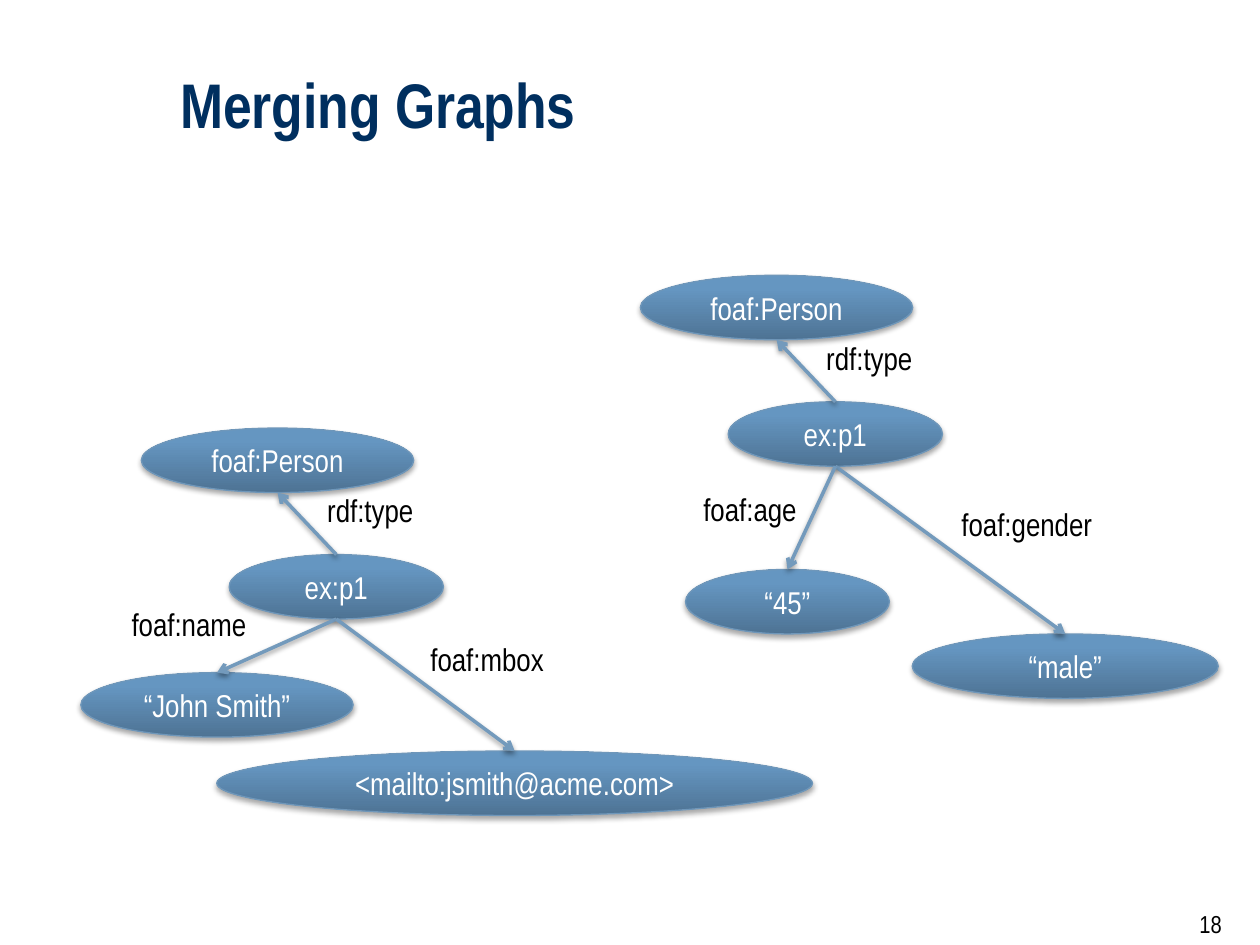
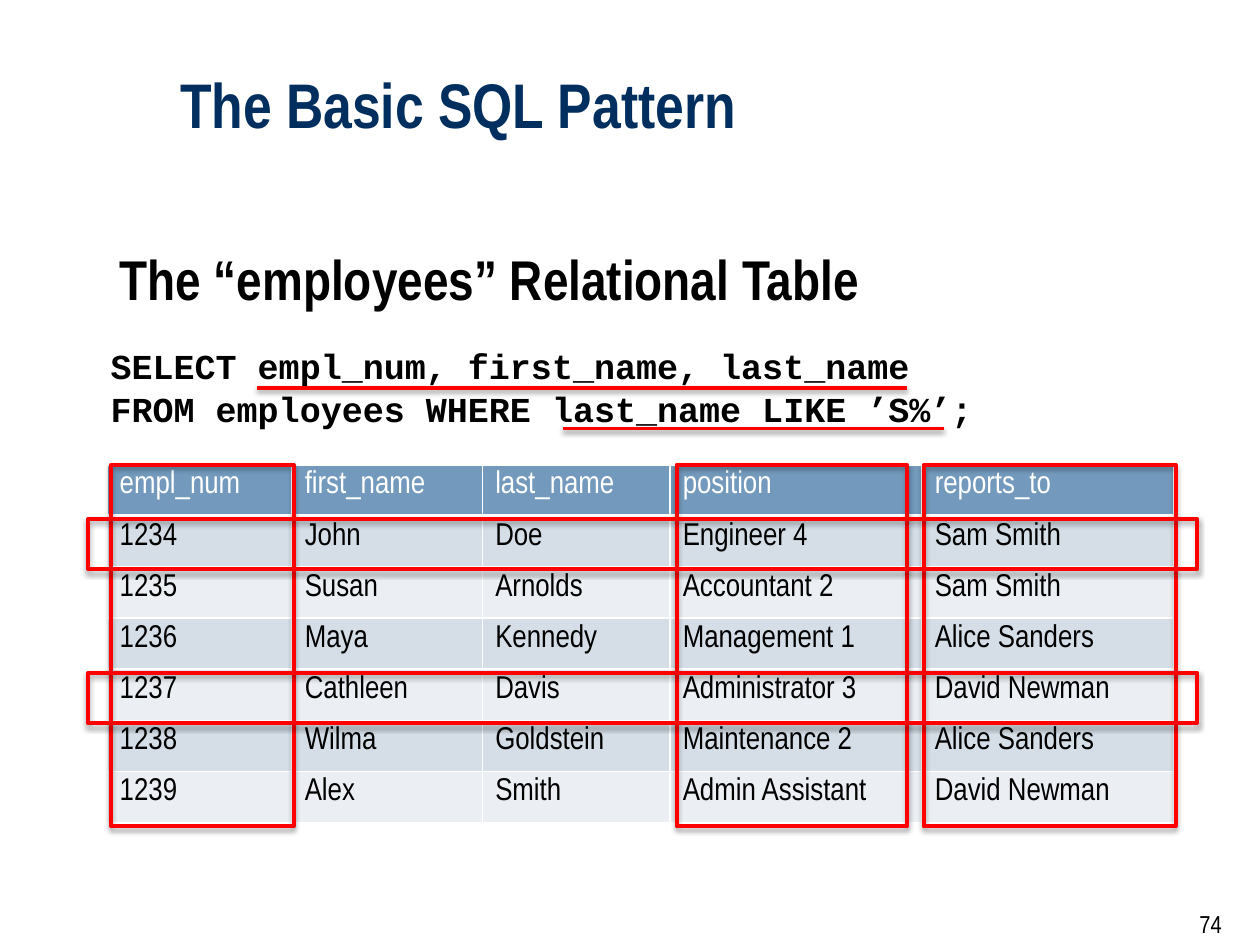
"""Build two slides: merging RDF graphs and the basic SQL pattern."""
from copy import deepcopy

from lxml import etree
from pptx import Presentation
from pptx.dml.color import RGBColor
from pptx.enum.shapes import MSO_CONNECTOR, MSO_SHAPE
from pptx.enum.text import MSO_ANCHOR, PP_ALIGN
from pptx.oxml import parse_xml
from pptx.oxml.ns import qn
from pptx.util import Cm, Pt

ELLIPSE, RECTANGLE = MSO_SHAPE.OVAL, MSO_SHAPE.RECTANGLE
STRAIGHT = MSO_CONNECTOR.STRAIGHT
CENTER, BOTTOM = PP_ALIGN.CENTER, MSO_ANCHOR.BOTTOM
TOP_SITE = 0

NAVY = RGBColor(0x00, 0x2F, 0x5F)
BLACK = RGBColor(0x00, 0x00, 0x00)
WHITE = RGBColor(0xFF, 0xFF, 0xFF)
RED = RGBColor(0xFF, 0x00, 0x00)
STEEL = RGBColor(0x73, 0x9A, 0xBC)
NODE_EDGE = RGBColor(0x6F, 0x97, 0xBA)
NODE_STOPS = [
    (0, RGBColor(0x4E, 0x73, 0x94)),
    (0.8, RGBColor(0x65, 0x96, 0xC1)),
    (1, RGBColor(0x64, 0x97, 0xC3)),
]
BAND_FILLS = [RGBColor(0xEB, 0xEF, 0xF3), RGBColor(0xD5, 0xDE, 0xE7)]

BODY = {"name": "Arial Narrow", "size": Pt(18), "bold": False}
LABEL_FORMAT = {**BODY, "color": BLACK}
NODE_FORMAT = {**BODY, "color": WHITE}
NUMBER_FORMAT = {**LABEL_FORMAT, "size": Pt(14)}
TITLE_FORMAT = {**BODY, "size": Pt(36), "bold": True, "color": NAVY}
SUBTITLE_FORMAT = {**LABEL_FORMAT, "size": Pt(32), "bold": True}
CODE_FORMAT = {"name": "Courier New", "size": Pt(20), "bold": True, "color": BLACK}

DRAWING = 'xmlns:a="http://schemas.openxmlformats.org/drawingml/2006/main"'
NODE_HEIGHT = 1.3
LABEL_HEIGHT = 1.02

LEFT_LEAVES = [
    (("“John Smith”", 1.63, 13.56, 5.49), ("foaf:name", 2.21, 12.07, 3.2)),
    (("<mailto:jsmith@acme.com>", 4.37, 15.14, 12.01), ("foaf:mbox", 7.98, 12.78, 3.68)),
]
RIGHT_LEAVES = [
    (("“male”", 18.39, 12.78, 6.17), ("foaf:gender", 18.59, 10.06, 4.22)),
    (("“45”", 13.82, 11.48, 4.11), ("foaf:age", 13.28, 9.75, 3.68)),
]

QUERY = "SELECT empl_num, first_name, last_name\nFROM employees WHERE last_name LIKE ’S%’;"
COLUMN_WIDTHS = [3.73, 3.84, 3.78, 5.08, 5.08]
ROW_HEIGHT = 1.03
EMPLOYEES = [
    ("empl_num", "first_name", "last_name", "position", "reports_to"),
    ("1234", "John", "Doe", "Engineer 4", "Sam Smith"),
    ("1235", "Susan", "Arnolds", "Accountant 2", "Sam Smith"),
    ("1236", "Maya", "Kennedy", "Management 1", "Alice Sanders"),
    ("1237", "Cathleen", "Davis", "Administrator 3", "David Newman"),
    ("1238", "Wilma", "Goldstein", "Maintenance 2", "Alice Sanders"),
    ("1239", "Alex", "Smith", "Admin Assistant", "David Newman"),
]


def write(text_frame, text, text_format, alignment=None):
    """Put text into the first paragraph and format its runs."""
    paragraph = text_frame.paragraphs[0]
    paragraph.text = text
    paragraph.alignment = alignment
    for run in paragraph.runs:
        for attribute, value in text_format.items():
            if attribute == "color":
                run.font.color.rgb = value
            else:
                setattr(run.font, attribute, value)
    return paragraph


def add_text(slide, text, left, top, width, height, text_format, alignment=None):
    """Add a wrapping text box."""
    box = slide.shapes.add_textbox(Cm(left), Cm(top), Cm(width), Cm(height))
    box.text_frame.word_wrap = True
    write(box.text_frame, text, text_format, alignment)
    return box


def add_shadow(shape, distance, opacity):
    """Give a shape or connector a soft shadow straight below it."""
    properties = shape._element.spPr
    for effects in properties.findall(qn("a:effectLst")):
        properties.remove(effects)
    properties.append(parse_xml(
        f'<a:effectLst {DRAWING}><a:outerShdw blurRad="{Pt(3.1)}" dist="{Pt(distance)}" '
        f'dir="5400000" rotWithShape="0"><a:srgbClr val="000000">'
        f'<a:alpha val="{opacity * 1000}"/></a:srgbClr></a:outerShdw></a:effectLst>'))


def style_line(line, color, width):
    """Set the colour and the width in points of a line."""
    line.color.rgb = color
    line.width = Pt(width)


def add_node(slide, text, left, top, width):
    """Add a graph node as a shaded ellipse."""
    node = slide.shapes.add_shape(ELLIPSE, Cm(left), Cm(top), Cm(width), Cm(NODE_HEIGHT))
    node.fill.gradient()
    node.fill.gradient_angle = 90
    stop_list = node._element.spPr.find(".//" + qn("a:gsLst"))
    stop_list.append(deepcopy(stop_list[-1]))
    for stop, (position, color) in zip(node.fill.gradient_stops, NODE_STOPS):
        stop.position = position
        stop.color.rgb = color
    style_line(node.line, NODE_EDGE, 0.75)
    add_shadow(node, 1.8, 35)
    write(node.text_frame, text, NODE_FORMAT, CENTER)
    return node


def add_line(slide, start, end, color):
    """Add a straight shadowed line between two points."""
    line = slide.shapes.add_connector(STRAIGHT, *start, *end)
    style_line(line.line, color, 2)
    add_shadow(line, 1.6, 38)
    return line


def add_edge(slide, start, end):
    """Add an arrow between two points."""
    edge = add_line(slide, start, end, STEEL)
    etree.SubElement(edge.line._get_or_add_ln(), qn("a:tailEnd"), type="arrow")
    return edge


def top_of(node):
    """Return the top middle point of a node."""
    return node.left + node.width // 2, node.top


def bottom_of(node):
    """Return the bottom middle point of a node."""
    return node.left + node.width // 2, node.top + node.height


def add_graph(slide, left, top, leaves):
    """Add a subject node with its type above and its leaves below."""
    subject = add_node(slide, "ex:p1", left, top, 4.32)
    person = add_node(slide, "foaf:Person", left - 1.77, top - 2.55, 5.49)
    leaf_nodes = [add_node(slide, *leaf) for leaf, _ in leaves]
    for leaf in leaf_nodes:
        add_edge(slide, bottom_of(subject), top_of(leaf)).end_connect(leaf, TOP_SITE)
    type_edge = add_edge(slide, top_of(subject), bottom_of(person))
    type_edge.begin_connect(subject, TOP_SITE)
    labels = [("rdf:type", left + 1.37, top - 1.4, 2.95)]
    labels += [label for _, label in leaves]
    for label in labels:
        add_text(slide, *label, LABEL_HEIGHT, LABEL_FORMAT, CENTER)


def add_borders(cell, bottom_width):
    """Draw white borders around a table cell."""
    properties = cell._tc.get_or_add_tcPr()
    for side, width in (("L", 1), ("R", 1), ("T", 1), ("B", bottom_width)):
        properties.append(parse_xml(
            f'<a:ln{side} {DRAWING} w="{Pt(width)}"><a:solidFill>'
            f'<a:srgbClr val="{WHITE}"/></a:solidFill></a:ln{side}>'))


def add_employee_table(slide, left, top):
    """Add the employee table with a header and banded rows."""
    frame = slide.shapes.add_table(
        len(EMPLOYEES), len(COLUMN_WIDTHS), Cm(left), Cm(top),
        Cm(sum(COLUMN_WIDTHS)), Cm(ROW_HEIGHT * len(EMPLOYEES)))
    table = frame.table
    for column, width in zip(table.columns, COLUMN_WIDTHS):
        column.width = Cm(width)
    for row_index, values in enumerate(EMPLOYEES):
        is_header = row_index == 0
        table.rows[row_index].height = Cm(ROW_HEIGHT)
        for column_index, value in enumerate(values):
            cell = table.cell(row_index, column_index)
            add_borders(cell, 3 if is_header else 1)
            cell.fill.solid()
            cell.fill.fore_color.rgb = STEEL if is_header else BAND_FILLS[row_index % 2]
            write(cell.text_frame, value, NODE_FORMAT if is_header else LABEL_FORMAT)


def add_highlight(slide, left, top, width, height):
    """Add a red frame."""
    frame = slide.shapes.add_shape(RECTANGLE, Cm(left), Cm(top), Cm(width), Cm(height))
    frame.fill.background()
    style_line(frame.line, RED, 2.25)
    add_shadow(frame, 1.8, 35)


def add_slide(presentation, title, number):
    """Add a blank slide with its title and page number."""
    slide = presentation.slides.add_slide(presentation.slide_layouts[6])
    add_text(slide, number, 23.93, 18.21, 1.07, 0.86, NUMBER_FORMAT)
    box = add_text(slide, title, 3.38, 0.56, 20.75, 2.41, TITLE_FORMAT)
    box.text_frame.vertical_anchor = BOTTOM
    box.text_frame.paragraphs[0].line_spacing = 0.85
    return slide


def build_graph_slide(presentation):
    """Build the slide with two graphs about one subject."""
    slide = add_slide(presentation, "Merging Graphs", "18")
    add_graph(slide, 4.62, 11.18, LEFT_LEAVES)
    add_graph(slide, 14.68, 8.1, RIGHT_LEAVES)


def build_query_slide(presentation):
    """Build the slide with the query and the employee table."""
    slide = add_slide(presentation, "The Basic SQL Pattern", "74")
    add_employee_table(slide, 2.16, 9.37)
    for left, width in ((18.62, 5.08), (13.64, 4.65), (2.24, 3.68)):
        add_highlight(slide, left, 9.37, width, 7.29)
    for top in (10.46, 13.56):
        add_highlight(slide, 1.78, top, 22.35, 1.02)
    add_text(slide, "The “employees” Relational Table", 2.16, 4.8, 16.38, 1.63, SUBTITLE_FORMAT)
    add_text(slide, QUERY, 1.98, 6.83, 18.03, 1.96, CODE_FORMAT)
    for right, left, top in ((18.29, 5.18, 7.82), (19.02, 11.35, 8.64)):
        add_line(slide, (Cm(right), Cm(top)), (Cm(left), Cm(top)), RED)


def main():
    """Build and save the presentation."""
    presentation = Presentation()
    presentation.slide_width = Cm(25.4)
    presentation.slide_height = Cm(19.05)
    build_graph_slide(presentation)
    build_query_slide(presentation)
    presentation.save("out.pptx")


if __name__ == "__main__":
    main()
